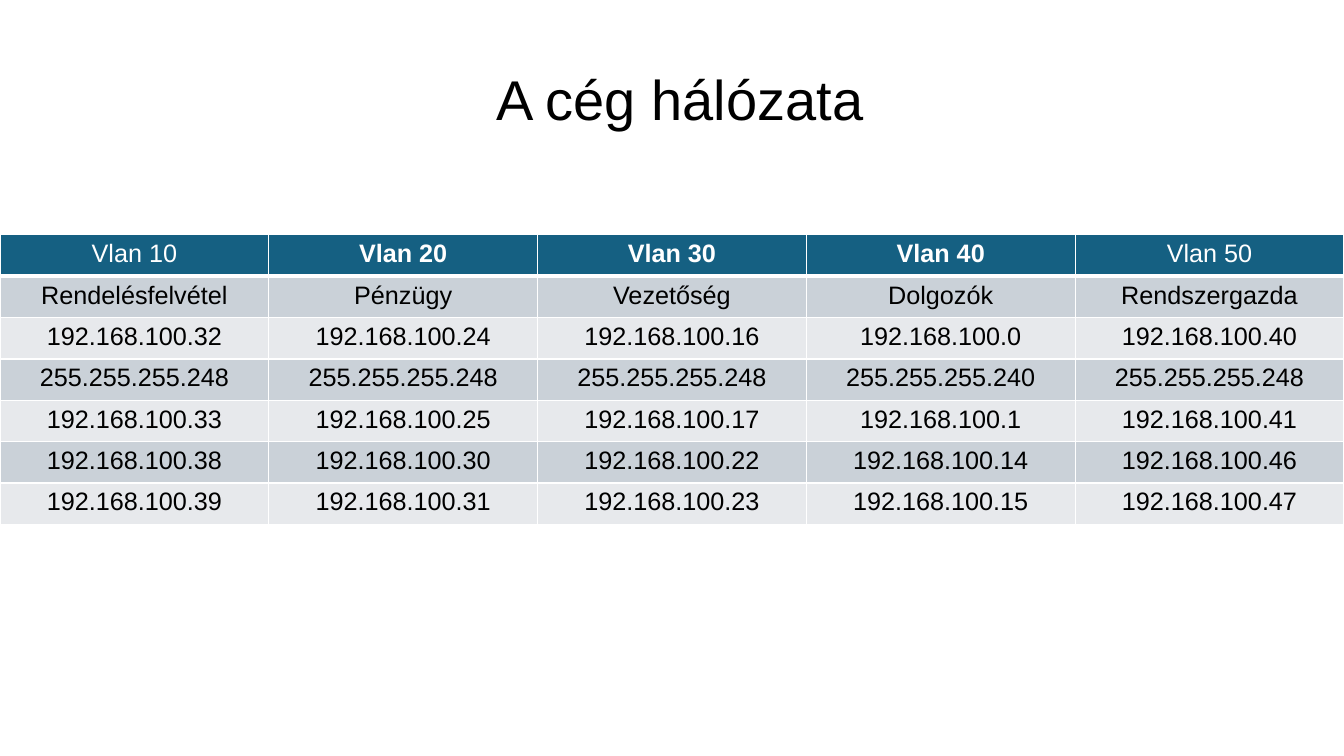
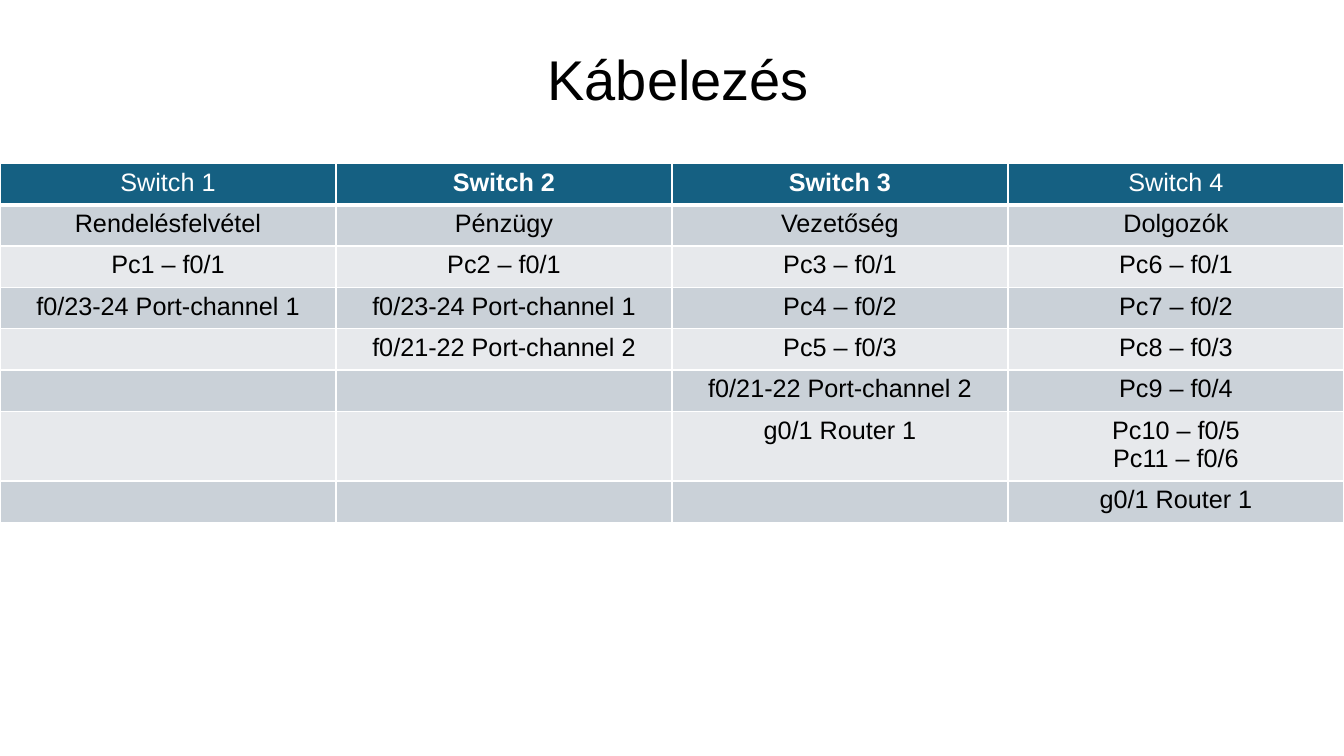
from lxml import etree
from pptx import Presentation
from pptx.dml.color import RGBColor
from pptx.enum.text import MSO_ANCHOR, MSO_AUTO_SIZE, PP_ALIGN
from pptx.oxml.ns import qn
from pptx.util import Inches, Pt

CENTER, LEFT = PP_ALIGN.CENTER, PP_ALIGN.LEFT
TOP = MSO_ANCHOR.TOP
NO_AUTOFIT = MSO_AUTO_SIZE.NONE
WIDTH, HEIGHT = Inches(13.33), Inches(7.5)
FONT = "Arial"
BLACK, WHITE, HEADER_BLUE = "000000", "FFFFFF", "156082"
BANDS = ("CAD1D8", "E7E9EC")
TITLE_ONLY = 5
TITLE_HEIGHT, ROW_HEIGHT, EXTRA_LINE = 10.27, 5.47, 3.73
THIN, THICK = 1, 3

DEPARTMENTS = ["Rendelésfelvétel", "Pénzügy", "Vezetőség", "Dolgozók"]
VLANS = [
    ["Vlan 10", "Vlan 20", "Vlan 30", "Vlan 40", "Vlan 50"],
    DEPARTMENTS + ["Rendszergazda"],
    ["192.168.100.32", "192.168.100.24", "192.168.100.16", "192.168.100.0", "192.168.100.40"],
    ["255.255.255.248", "255.255.255.248", "255.255.255.248", "255.255.255.240", "255.255.255.248"],
    ["192.168.100.33", "192.168.100.25", "192.168.100.17", "192.168.100.1", "192.168.100.41"],
    ["192.168.100.38", "192.168.100.30", "192.168.100.22", "192.168.100.14", "192.168.100.46"],
    ["192.168.100.39", "192.168.100.31", "192.168.100.23", "192.168.100.15", "192.168.100.47"],
]
CABLING = [
    ["Switch 1", "Switch 2", "Switch 3", "Switch 4"],
    DEPARTMENTS,
    ["Pc1 – f0/1", "Pc2 – f0/1", "Pc3 – f0/1", "Pc6 – f0/1"],
    ["f0/23-24 Port-channel 1", "f0/23-24 Port-channel 1", "Pc4 – f0/2", "Pc7 – f0/2"],
    ["", "f0/21-22 Port-channel 2", "Pc5 – f0/3", "Pc8 – f0/3"],
    ["", "", "f0/21-22 Port-channel 2", "Pc9 – f0/4"],
    ["", "", "g0/1 Router 1", "Pc10 – f0/5\nPc11 – f0/6"],
    ["", "", "", "g0/1 Router 1"],
]


def color(value):
    """Turn a hex string into a colour."""
    return RGBColor.from_string(value)


def across(percent):
    """Return a share of the slide width."""
    return int(WIDTH * percent / 100)


def down(percent):
    """Return a share of the slide height."""
    return int(HEIGHT * percent / 100)


def add_run(paragraph, text, size, ink, bold=False):
    """Add one formatted run to a paragraph."""
    run = paragraph.add_run()
    run.text = text
    run.font.name, run.font.size, run.font.bold = FONT, Pt(size), bold
    run.font.color.rgb = color(ink)


def place_title(slide, text, left, top, width):
    """Move the title placeholder into its box and fill it."""
    title = slide.shapes.title
    title.left, title.top = across(left), down(top)
    title.width, title.height = across(width), down(TITLE_HEIGHT)
    frame = title.text_frame
    frame.word_wrap, frame.auto_size, frame.vertical_anchor = True, NO_AUTOFIT, TOP
    heading = frame.paragraphs[0]
    heading.alignment = LEFT
    add_run(heading, text, 40, BLACK)


def set_borders(cell, above, below):
    """Draw white borders round a cell."""
    properties = cell._tc.get_or_add_tcPr()
    for side, points in (("L", THIN), ("R", THIN), ("T", above), ("B", below)):
        line = etree.SubElement(properties, qn(f"a:ln{side}"), w=str(Pt(points)))
        fill = etree.SubElement(line, qn("a:solidFill"))
        etree.SubElement(fill, qn("a:srgbClr"), val=WHITE)


def fill_cell(cell, text, fill, ink, bold):
    """Colour a cell and write its centred lines."""
    cell.fill.solid()
    cell.fill.fore_color.rgb = color(fill)
    frame = cell.text_frame
    for index, line in enumerate(text.splitlines()):
        paragraph = frame.add_paragraph() if index else frame.paragraphs[0]
        paragraph.alignment = CENTER
        add_run(paragraph, line, 18, ink, bold)


def place_table(slide, rows, top):
    """Place a full-width banded table with equal columns."""
    last = len(rows[0]) - 1
    heights = [down(ROW_HEIGHT + EXTRA_LINE * max(text.count("\n") for text in row)) for row in rows]
    table = slide.shapes.add_table(len(rows), last + 1, 0, down(top), WIDTH, sum(heights)).table
    table.horz_banding = False
    for r, row in enumerate(rows):
        table.rows[r].height = heights[r]
        header = r == 0
        fill = HEADER_BLUE if header else BANDS[(r - 1) % 2]
        for c, text in enumerate(row):
            cell = table.cell(r, c)
            set_borders(cell, THICK if r == 1 else THIN, THICK if header else THIN)
            fill_cell(cell, text, fill, WHITE if header else BLACK, header and 0 < c < last)


def add_table_slide(deck, title, title_box, rows, table_top):
    """Add a slide with a title above a table."""
    slide = deck.slides.add_slide(deck.slide_layouts[TITLE_ONLY])
    place_title(slide, title, *title_box)
    place_table(slide, rows, table_top)


def main():
    """Build and save the deck."""
    deck = Presentation()
    deck.slide_width, deck.slide_height = WIDTH, HEIGHT
    add_table_slide(deck, "A cég hálózata", (36.16, 7.87, 32.56), VLANS, 31.07)
    add_table_slide(deck, "Kábelezés", (39.98, 5.2, 22.8), CABLING, 21.6)
    deck.save("out.pptx")


if __name__ == "__main__":
    main()
